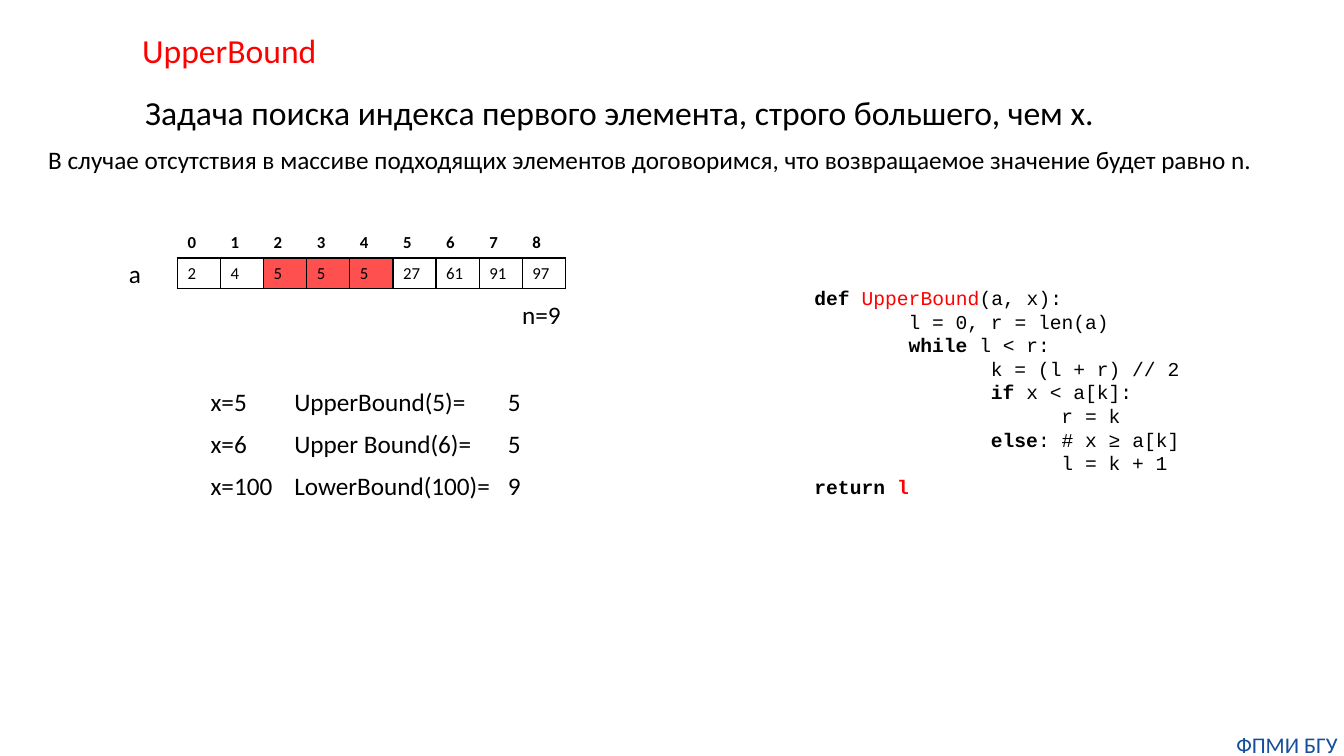
from lxml.etree import SubElement
from pptx import Presentation
from pptx.dml.color import RGBColor
from pptx.enum.text import MSO_ANCHOR, MSO_AUTO_SIZE, PP_ALIGN
from pptx.oxml.ns import qn
from pptx.util import Inches, Pt

COLORS = {"ink": "000000", "accent": "FF0000", "match": "FF5050", "footer": "144E9D"}
ARRAY = [2, 4, 5, 5, 5, 27, 61, 91, 97]
TARGET = 5
EXAMPLES = [
    ("x=5", "UpperBound(5)=", "5"),
    ("x=6", "Upper Bound(6)=", "5"),
    ("x=100", "LowerBound(100)=", "9"),
]
EXAMPLE_COLUMNS = [(0, 0.9), (0.83, 2.18), (2.95, 0.33)]
CODE_CHARACTER = 0.6 * 14 / 72
CODE = [
    (0, [("def ", "ink", True), ("UpperBound", "accent", False), ("(a, x):", "ink", False)]),
    (8, [("l = 0, r = len(a)", "ink", False)]),
    (8, [("while", "ink", True), (" l < r:", "ink", False)]),
    (15, [("k = (l + r) // 2", "ink", False)]),
    (15, [("if", "ink", True), (" x < a[k]:", "ink", False)]),
    (21, [("r = k", "ink", False)]),
    (15, [("else", "ink", True), (": # x ≥ a[k]", "ink", False)]),
    (21, [("l = k + 1", "ink", False)]),
    (0, [("return ", "ink", True), ("l", "accent", True)]),
]


def add_span(para, text, size, color="ink", bold=False, font="Calibri"):
    span = para.add_run()
    span.text = text
    span.font.name = font
    span.font.size = Pt(size)
    span.font.bold = bold
    span.font.color.rgb = RGBColor.from_string(COLORS[color])


def add_box(page, left, top, width, height):
    box = page.shapes.add_textbox(Inches(left), Inches(top), Inches(width), Inches(height))
    box.text_frame.word_wrap = True
    return box


def add_label(page, left, top, width, text):
    box = add_box(page, left, top, width, 0.4)
    add_span(box.text_frame.paragraphs[0], text, 18)


def fill_placeholder(holder, left, top, width, height, text, color):
    holder.left, holder.top = Inches(left), Inches(top)
    holder.width, holder.height = Inches(width), Inches(height)
    frame = holder.text_frame
    frame.word_wrap = True
    frame.auto_size = MSO_AUTO_SIZE.NONE
    frame.vertical_anchor = MSO_ANCHOR.TOP
    para = frame.paragraphs[0]
    para.alignment = PP_ALIGN.LEFT
    para.space_before = Pt(0)
    add_span(para, text, 24, color)
    properties = para._p.get_or_add_pPr()
    properties.set("marL", "0")
    properties.set("indent", "0")
    SubElement(properties, qn("a:buNone"))


def add_heading(page, left, top):
    fill_placeholder(page.shapes.title, left, top, 4, 0.5, "UpperBound", "accent")
    fill_placeholder(
        page.placeholders[1], left + 0.03, top + 0.61, 9.62, 0.5,
        "Задача поиска индекса первого элемента, строго большего, чем x.", "ink",
    )
    add_label(
        page, left - 0.93, top + 1.13, 12.47,
        "В случае отсутствия в массиве подходящих элементов договоримся, "
        "что возвращаемое значение будет равно n.",
    )


def add_borders(cell, sides):
    properties = cell._tc.get_or_add_tcPr()
    for position, side in enumerate(sides):
        line = SubElement(properties, qn(f"a:ln{side}"), w=str(Pt(1)))
        fill = SubElement(line, qn("a:solidFill"))
        SubElement(fill, qn("a:srgbClr"), val=COLORS["ink"])
        properties.remove(line)
        properties.insert(position, line)


def style_cell(cell, text, bold, matched, sides):
    add_span(cell.text_frame.paragraphs[0], text, 12, bold=bold)
    if matched:
        cell.fill.solid()
        cell.fill.fore_color.rgb = RGBColor.from_string(COLORS["match"])
    else:
        cell.fill.background()
    add_borders(cell, sides)


def add_array(page, left, top, width):
    shape = page.shapes.add_table(
        2, len(ARRAY), Inches(left), Inches(top), Inches(width), Inches(0.6)
    )
    table = shape.table
    table.first_row = False
    table.horz_banding = False
    for index, value in enumerate(ARRAY):
        table.columns[index].width = Inches(width / len(ARRAY))
        style_cell(table.cell(0, index), str(index), True, False, "B")
        style_cell(table.cell(1, index), str(value), False, value == TARGET, "LRTB")
    add_label(page, left - 0.58, top + 0.25, 0.33, "a")
    add_label(page, left + 3.32, top + 0.66, 1.36, "n=9")


def add_examples(page, left, top):
    for row, texts in enumerate(EXAMPLES):
        for (offset, width), text in zip(EXAMPLE_COLUMNS, texts):
            add_label(page, left + offset, top + row * 0.42, width, text)


def add_code(page, left, top, width, height):
    frame = add_box(page, left, top, width, height).text_frame
    for number, (indent, spans) in enumerate(CODE):
        para = frame.add_paragraph() if number else frame.paragraphs[0]
        para._p.get_or_add_pPr().set("marL", str(Inches(indent * CODE_CHARACTER)))
        for text, color, bold in spans:
            add_span(para, text, 14, color, bold, "Courier New")


def add_footer(page, left, top, width, height):
    frame = add_box(page, left, top, width, height).text_frame
    frame.margin_left = frame.margin_right = frame.margin_top = frame.margin_bottom = 0
    para = frame.paragraphs[0]
    para.alignment = PP_ALIGN.CENTER
    add_span(para, "ФПМИ БГУ", 16, "footer")


def main():
    deck = Presentation()
    deck.slide_width, deck.slide_height = Inches(13.33), Inches(7.5)
    page = deck.slides.add_slide(deck.slide_layouts[1])
    add_heading(page, 1.31, 0.25)
    add_array(page, 1.76, 2.26, 3.85)
    add_examples(page, 1.99, 3.78)
    add_code(page, 7.98, 2.79, 4.87, 2.22)
    add_footer(page, 12.2, 7.25, 1.13, 0.27)
    deck.save("out.pptx")


if __name__ == "__main__":
    main()
